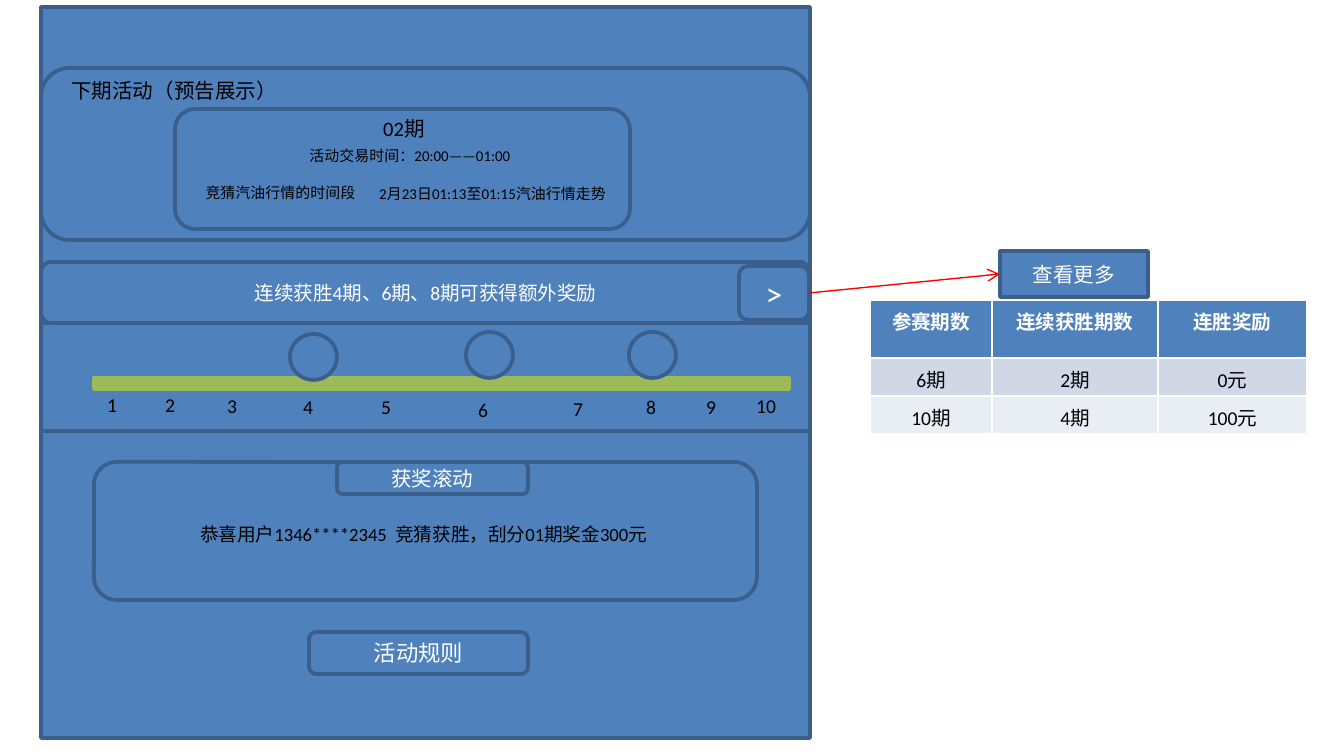
import pptx
import pptx.util
import pptx.dml.color
import pptx.enum.shapes
import pptx.enum.text
import pptx.oxml
import pptx.oxml.ns

SCALE = 914400 / 134.4
COLORS = {
    "blue": "4F81BD", "edge": "3A5F8C", "green": "9BBB59", "red": "FF0000",
    "white": "FFFFFF", "black": "000000", "band": "D0D8E8", "pale": "E9EDF4",
}
KIND = pptx.enum.shapes.MSO_SHAPE
ALIGN = pptx.enum.text.PP_ALIGN
ANCHOR = pptx.enum.text.MSO_ANCHOR

deck = pptx.Presentation()
deck.slide_width = round(1344 * SCALE)
deck.slide_height = round(756 * SCALE)
slide = deck.slides.add_slide(deck.slide_layouts[6])
shapes = slide.shapes


def write(text, frame=None, at=None, size=10.5, color="black", align=ALIGN.CENTER,
          bold=False, wrap=True):
    if frame is None:
        frame = shapes.add_textbox(*[round(n * SCALE) for n in at]).text_frame
        frame.word_wrap = wrap
        frame.auto_size = pptx.enum.text.MSO_AUTO_SIZE.SHAPE_TO_FIT_TEXT
    para = frame.paragraphs[0]
    para.alignment = align
    run = para.add_run()
    run.text = text
    run.font.name = "Calibri"
    run.font.size = pptx.util.Pt(size)
    run.font.bold = bold
    run.font.color.rgb = pptx.dml.color.RGBColor.from_string(COLORS[color])


def block(kind, at, text="", size=11, fill="blue", line="edge"):
    shape = shapes.add_shape(kind, *[round(n * SCALE) for n in at])
    shape.shadow.inherit = False
    shape.fill.solid()
    shape.fill.fore_color.rgb = pptx.dml.color.RGBColor.from_string(COLORS[fill])
    shape.line.color.rgb = pptx.dml.color.RGBColor.from_string(COLORS[line])
    shape.line.width = pptx.util.Pt(2)
    if text:
        shape.text_frame.vertical_anchor = ANCHOR.MIDDLE
        write(text, shape.text_frame, size=size, color="white")
    return shape


block(KIND.FLOWCHART_PROCESS, (41, 7, 769, 731))
block(KIND.ROUNDED_RECTANGLE, (41, 68, 769, 172))
block(KIND.ROUNDED_RECTANGLE, (41, 262, 769, 61), "连续获胜4期、6期、8期可获得额外奖励", 10.5)
block(KIND.RECTANGLE, (41, 323, 769, 108))
block(KIND.RECTANGLE, (94, 378, 695, 11), fill="green", line="green")

spots = [(94, 386), (152, 386), (214, 387), (290, 388), (368, 388),
         (465, 391), (560, 390), (633, 388), (693, 388), (743, 387)]
for num, (x, y) in enumerate(spots, 1):
    wide = 47 if num > 9 else 38
    write(str(num), at=(x, y, wide, 38), align=ALIGN.LEFT, wrap=False)
for x, y in [(290, 334), (466, 332), (629, 332)]:
    block(KIND.OVAL, (x, y, 47, 46))

block(KIND.ROUNDED_RECTANGLE, (309, 632, 219, 42), "活动规则", 12)
more = block(KIND.ROUNDED_RECTANGLE, (739, 266, 70, 54), ">", 18)
view = block(KIND.RECTANGLE, (1000, 251, 148, 46), "查看更多")

block(KIND.ROUNDED_RECTANGLE, (175, 109, 455, 120))
write("02期", at=(255, 109, 298, 39), size=11)
write("活动交易时间：20:00——01:00", at=(191, 140, 438, 32), size=8)
write("2月23日01:13至01:15汽油行情走势", at=(366, 178, 260, 32), size=8, align=ALIGN.LEFT)
write("竞猜汽油行情的时间段", at=(192, 177, 177, 32), size=8, wrap=False)
write("下期活动（预告展示）", at=(58, 71, 280, 39), size=11, align=ALIGN.LEFT)

arrow = shapes.add_connector(
    pptx.enum.shapes.MSO_CONNECTOR.STRAIGHT,
    *[round(n * SCALE) for n in (809, 293, 1000, 274)])
arrow.begin_connect(more, 3)
arrow.end_connect(view, 1)
arrow.line.color.rgb = pptx.dml.color.RGBColor.from_string(COLORS["red"])
arrow.line.width = pptx.util.Pt(0.75)
pptx.oxml.xmlchemy.OxmlElement
tip = arrow.line._get_or_add_ln().makeelement(pptx.oxml.ns.qn("a:tailEnd"), {"type": "arrow"})
arrow.line._get_or_add_ln().append(tip)
arrow._element.spPr.append(tip.makeelement(pptx.oxml.ns.qn("a:effectLst"), {}))

rows = [("参赛期数", "连续获胜期数", "连胜奖励"),
        ("6期", "2期", "0元"),
        ("10期", "4期", "100元")]
table = shapes.add_table(
    3, 3, *[round(n * SCALE) for n in (870, 300, 437, 134)]).table
for col, wide in zip(table.columns, (122, 166, 149)):
    col.width = round(wide * SCALE)
for row, high in zip(table.rows, (58, 38, 38)):
    row.height = round(high * SCALE)
for r, (words, fill) in enumerate(zip(rows, ("blue", "band", "pale"))):
    for c, word in enumerate(words):
        cell = table.cell(r, c)
        cell.fill.solid()
        cell.fill.fore_color.rgb = pptx.dml.color.RGBColor.from_string(COLORS[fill])
        write(word, cell.text_frame, color="black" if r else "white", bold=r == 0)

block(KIND.ROUNDED_RECTANGLE, (94, 462, 663, 138))
block(KIND.ROUNDED_RECTANGLE, (337, 462, 191, 32), "获奖滚动")
write("恭喜用户1346****2345  竞猜获胜，刮分01期奖金300元", at=(130, 516, 587, 36), size=10)

deck.save("out.pptx")
